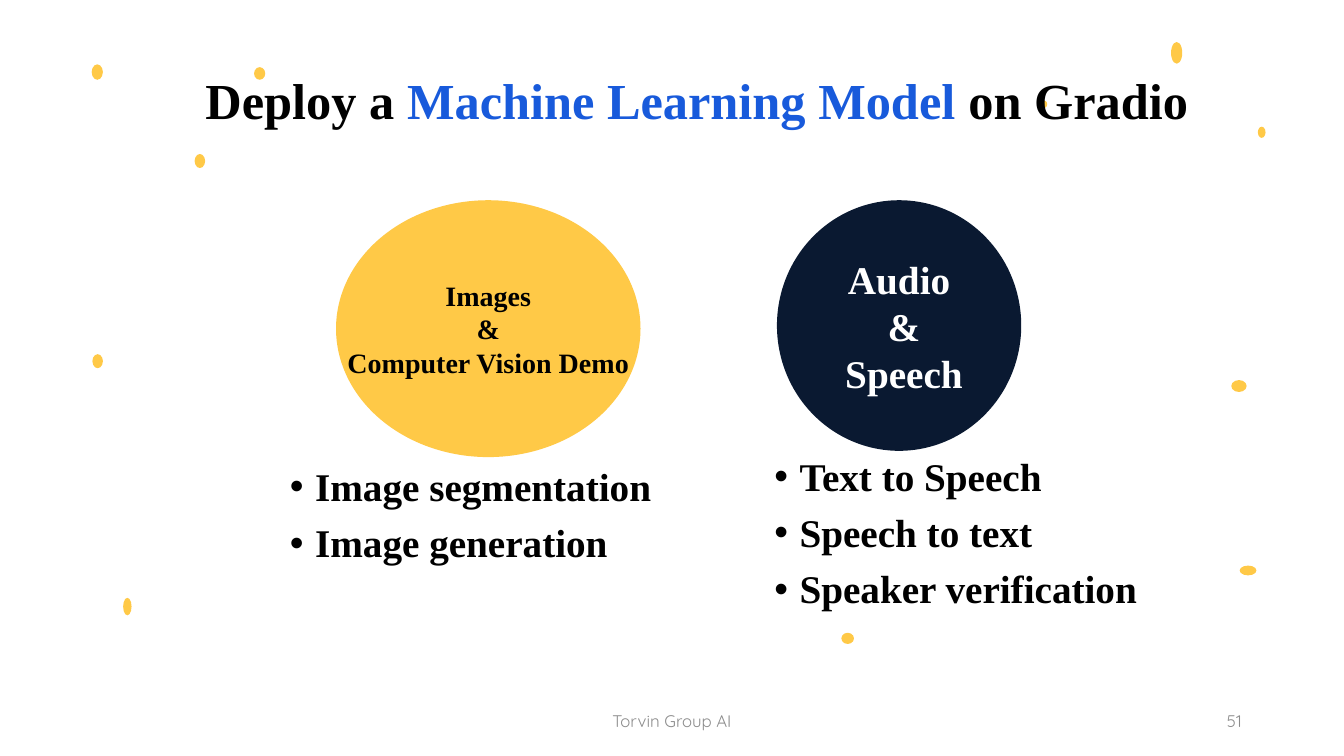
from pptx import Presentation
from pptx import util as u
from pptx.dml.color import RGBColor
from pptx.enum import shapes, text
from lxml import etree

Pt = u.Pt
HUES = {"gold": "FFC947", "navy": "0A1931", "blue": "185ADB",
        "black": "000000", "white": "FFFFFF", "gray": "8C8C8C"}
SERIF = "Times New Roman"
MID, TOP = text.MSO_ANCHOR.MIDDLE, text.MSO_ANCHOR.TOP
LEFT, MIDST, RIGHT = text.PP_ALIGN.LEFT, text.PP_ALIGN.CENTER, text.PP_ALIGN.RIGHT

deck = Presentation()
deck.slide_width, deck.slide_height = Pt(960), Pt(540)
slide = deck.slides.add_slide(deck.slide_layouts[5])


def oval(box, hue):
    item = slide.shapes.add_shape(shapes.MSO_SHAPE.OVAL, *map(Pt, box))
    item.shadow.inherit = False
    item.fill.solid()
    item.fill.fore_color.rgb = RGBColor.from_string(HUES[hue])
    item.line.fill.background()
    return item


def write(item, lines, size, align, anchor, wrap, face=SERIF, bold=True, bullet=False):
    """Fill a shape; each line is a list of (words, hue) runs."""
    frame = item.text_frame
    look = {"word_wrap": wrap, "vertical_anchor": anchor,
            "auto_size": text.MSO_AUTO_SIZE.NONE}
    for key, value in look.items():
        setattr(frame, key, value)
    for i, line in enumerate(lines):
        para = frame.paragraphs[0] if i == 0 else frame.add_paragraph()
        para.alignment = align
        if bullet:
            para.line_spacing = 0.9
            para.space_before = Pt(10 if i else 0)
            props = para._p.get_or_add_pPr()
            props.set("marL", str(Pt(18)))
            props.set("indent", str(-Pt(18)))
            space = props.nsmap["a"]
            etree.SubElement(props, f"{{{space}}}buFont", typeface="Arial")
            etree.SubElement(props, f"{{{space}}}buChar", char="•")
        for words, hue in line:
            run = para.add_run()
            run.text = words
            for key, value in {"name": face, "size": Pt(size), "bold": bold}.items():
                setattr(run.font, key, value)
            run.font.color.rgb = RGBColor.from_string(HUES[hue])


# Scattered dots
dots = [(139, 110, 7.5, 10), (879.5, 271.5, 11, 8.5), (836.5, 30, 8, 15.5),
        (744.5, 72, 3.5, 5), (66, 253, 7.5, 10), (601, 452, 9, 8),
        (885.5, 404, 12, 7), (181.5, 48, 8, 9), (65.5, 46, 8, 11),
        (88, 427, 6, 12.5), (898.5, 90.5, 5.5, 8)]
for dot in dots:
    oval(dot, "gold")

# Title, in front of the dots
title = slide.shapes.title
title.element.getparent().append(title.element)
place = {"left": 136, "top": 45.5, "width": 723.5, "height": 51}
for key, value in place.items():
    setattr(title, key, Pt(value))
write(title, [[("Deploy a ", "black"), ("Machine Learning Model ", "blue"),
               ("on Gradio", "black")]], 36, MIDST, TOP, False)

# Topic circles
topics = [
    ((240, 143, 217.5, 183.5), "gold", "black", 20,
     ["Images", " & ", "Computer Vision Demo"]),
    ((555, 143, 174.5, 179), "navy", "white", 28, ["Audio", " &", " Speech"]),
]
for box, fill, ink, size, lines in topics:
    write(oval(box, fill), [[(line, ink)] for line in lines], size, MIDST, MID, False)

# Task lists
tasks = [
    ((200, 330.5, 287, 78.5), ["Image segmentation", "Image generation"]),
    ((546, 323, 300, 119), ["Text to Speech", "Speech to text", "Speaker verification"]),
]
for box, lines in tasks:
    write(slide.shapes.add_textbox(*map(Pt, box)), [[(line, "black")] for line in lines],
          28, LEFT, TOP, True, bullet=True)

# Footer and page number
notes = [((318, 500.5, 324, 28.5), "Torvin Group AI", MIDST),
         ((678, 500.5, 216, 28.5), "51", RIGHT)]
for box, words, align in notes:
    write(slide.shapes.add_textbox(*map(Pt, box)), [[(words, "gray")]],
          12, align, MID, True, face="Quicksand", bold=False)

deck.save("out.pptx")
